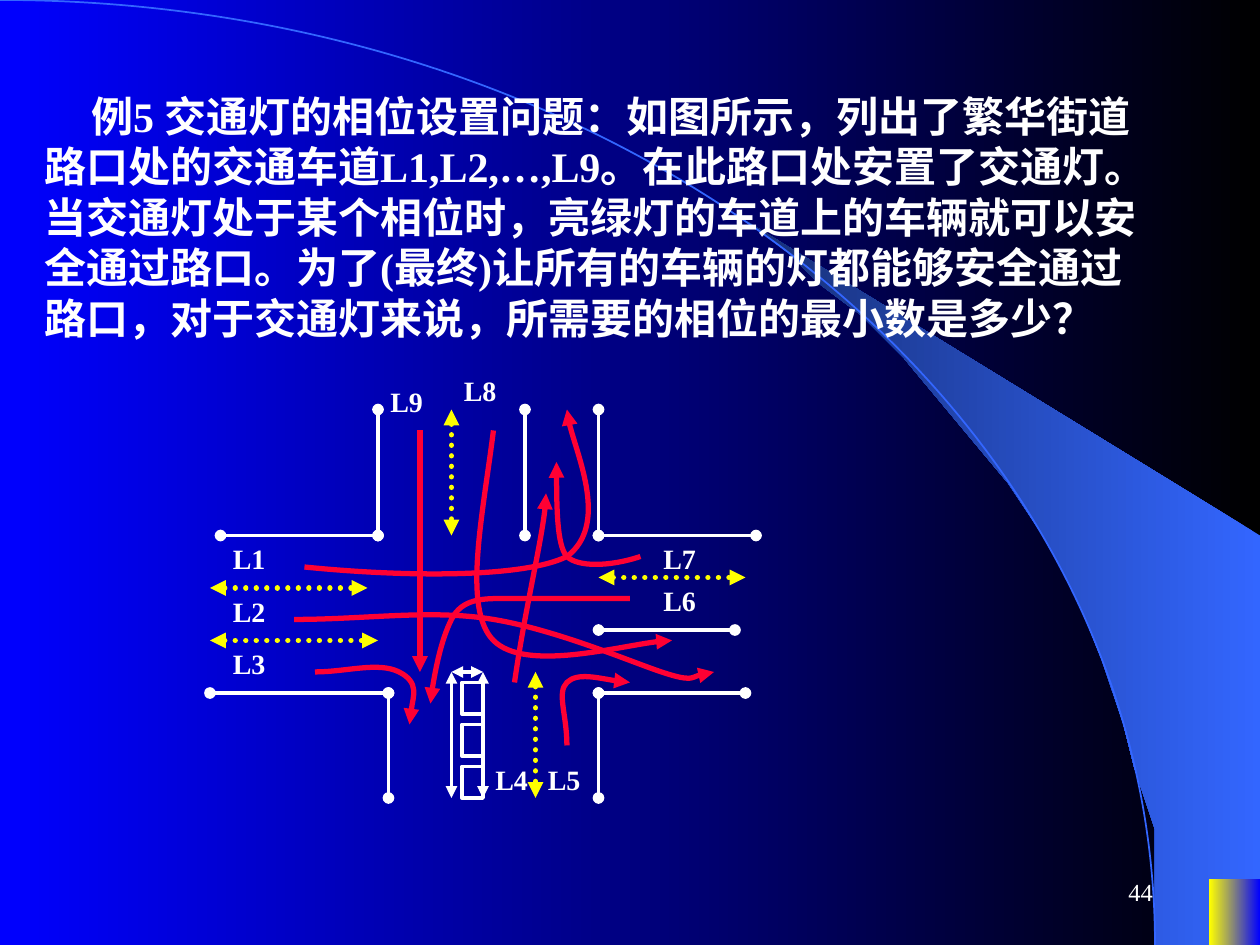
"""Build the slide on the traffic-light phase problem at a crossroads."""
from lxml import etree
from pptx import Presentation
from pptx import util as u
from pptx.dml import color
from pptx.enum import dml, shapes, text
from pptx.oxml import ns

COLORS = {"white": "FFFFFF", "yellow": "FFFF00", "red": "FF0033", "blue": "0000FF",
          "black": "000000", "sky": "3366FF", "navy": "172F75"}
RGB = {name: color.RGBColor.from_string(code) for name, code in COLORS.items()}
CELL = u.Cm(2.54) / 12

deck = Presentation()
deck.slide_width, deck.slide_height = u.Cm(25.4), u.Cm(19.05)
page = deck.slides.add_slide(deck.slide_layouts[6])


def outline(points, closed=False, curved=False):
    """Draw points given in grid cells, as straight or cubic segments."""
    builder = page.shapes.build_freeform(*points[0], scale=CELL)
    builder.add_line_segments(points[1:], close=closed)
    shape = builder.convert_to_shape()
    shape.shadow.inherit = False
    steps = list(shape._element.iter(ns.qn("a:lnTo"))) if curved else []
    for start in range(0, len(steps), 3):
        curve = etree.Element(ns.qn("a:cubicBezTo"))
        steps[start].addprevious(curve)
        for step in steps[start:start + 3]:
            curve.append(step[0])
            step.getparent().remove(step)
    return shape


def write(words, left, top, width, height, size, bold=True):
    """Add a white text box placed in centimetres and return its frame."""
    box = page.shapes.add_textbox(u.Cm(left), u.Cm(top), u.Cm(width), u.Cm(height))
    frame = box.text_frame
    frame.word_wrap = True
    frame.text = words
    font = frame.paragraphs[0].runs[0].font
    font.name, font.size, font.bold = "Times New Roman", u.Pt(size), bold
    font.color.rgb = RGB["white"]
    return frame


wedge = outline([(110.4, 89.8), (119.9, 89.9), (119.9, 50.8), (70.7, 20.8), (74.9, 23.9),
                 (78.4, 26.6), (82.2, 30), (85.9, 33.6), (91.4, 39.6), (96.4, 46.1),
                 (99.8, 51.7), (103, 57.5), (105.4, 63.4), (107.2, 68.6), (108.4, 73.1),
                 (109.6, 78.7), (110, 83.5)], closed=True)
wedge.line.fill.background()

arc = outline([(0, 0), (61, 0), (110.4, 40.2), (110.4, 89.9)], curved=True)
arc.fill.background()
arc.line.color.rgb, arc.line.width = RGB["sky"], u.Pt(1)

corner = page.shapes.add_shape(shapes.MSO_SHAPE.RECTANGLE,
                               u.Cm(24.38), u.Cm(17.73), u.Cm(1.02), u.Cm(1.32))
corner.shadow.inherit = False
corner.line.fill.background()

for fill, first, last in [(page.background.fill, "black", "blue"),
                          (wedge.fill, "sky", "navy"), (corner.fill, "blue", "yellow")]:
    fill.gradient()
    fill.gradient_angle = 180
    for stop, name in zip(fill.gradient_stops, (first, last)):
        stop.color.rgb = RGB[name]

question = write("例5 交通灯的相位设置问题：如图所示，列出了繁华街道路口处的交通车道L1,L2,…,L9。"
                 "在此路口处安置了交通灯。当交通灯处于某个相位时，亮绿灯的车道上的车辆就可以安全通过路口。"
                 "为了(最终)让所有的车辆的灯都能够安全通过路口，对于交通灯来说，所需要的相位的最小数是多少？",
                 0.64, 1.7, 22.66, 6.35, 24)
question.paragraphs[0]._p.get_or_add_pPr().set("indent", str(u.Cm(0.95)))

LINES = [
    ("white", 2.25, "oval", "oval", [
        (36, 39, 36, 51), (21, 51, 36, 51), (20, 66, 37, 66), (37, 66, 37, 76),
        (50, 39, 50, 51), (57, 39, 57, 51), (57, 51, 72, 51), (57, 60, 70, 60),
        (57, 66, 71, 66), (57, 66, 57, 76)]),
    ("yellow", 3, "triangle", "triangle", [
        (20, 56, 35, 56), (20, 61, 36, 61), (43, 39, 43, 51), (57, 55, 71, 55),
        (51, 64, 51, 76)]),
    ("white", 2.25, "triangle", "triangle", [
        (43, 64, 43, 76), (43, 64, 46, 64), (46, 64, 46, 76)]),
    ("red", 3, "none", "triangle", [(40, 41, 40, 64)]),
]
LANES = [
    [(28, 59), (34.6, 58.6), (41.2, 58.2), (47, 59), (52.8, 59.8), (59.5, 63.2), (63, 64),
     (66.5, 64.8), (67.2, 64), (68, 64)],
    [(30, 64), (33.3, 63.6), (36.5, 63.1), (38, 64), (39.5, 64.8), (38.9, 68.2), (39, 69)],
    [(60, 57), (58, 57), (56, 57), (54, 57), (52, 57), (49.8, 56.6), (48, 57),
     (46.2, 57.4), (44.2, 57.4), (43, 59), (41.9, 60.7), (41.3, 65.6), (41, 67)],
    [(54, 71), (53.5, 68.5), (53, 66), (54, 65), (55, 64), (59, 65), (60, 65)],
    [(47, 41), (45.6, 49.3), (44.2, 57.7), (47, 61), (49.8, 64.3), (61.2, 61), (64, 61)],
    [(61, 53), (58.2, 53.8), (55.3, 54.5), (54, 53), (52.7, 51.5), (53.2, 45.5), (53, 44)],
    [(49, 65), (50.3, 57.5), (51.5, 50), (52, 47)],
    [(29, 54), (39.4, 54.7), (49.8, 55.4), (54, 53), (58.2, 50.5), (54, 41.3), (54, 39)],
]

strokes = []
for name, width, head, tail, places in LINES:
    for place in places:
        line = page.shapes.add_connector(shapes.MSO_CONNECTOR.STRAIGHT,
                                         *(round(value * CELL) for value in place))
        etree.SubElement(line._element.spPr, ns.qn("a:effectLst"))
        strokes.append((line, name, width, head, tail))
for points in LANES:
    lane = outline(points, curved=True)
    lane.fill.background()
    strokes.append((lane, "red", 3, "none", "triangle"))

for stroke, name, width, head, tail in strokes:
    stroke.line.color.rgb, stroke.line.width = RGB[name], u.Pt(width)
    if name == "yellow":
        stroke.line.dash_style = dml.MSO_LINE.ROUND_DOT
    pen = stroke.line._get_or_add_ln()
    if name == "yellow":
        pen.set("cap", "rnd")
    for tag, kind in (("a:headEnd", head), ("a:tailEnd", tail)):
        etree.SubElement(pen, ns.qn(tag), type=kind)

for row in (65, 69, 73):
    car = page.shapes.add_shape(shapes.MSO_SHAPE.RECTANGLE,
                                *(round(value * CELL) for value in (44, row, 2, 3)))
    car.shadow.inherit = False
    car.fill.background()
    car.line.color.rgb, car.line.width = RGB["white"], u.Pt(2.25)

LABELS = {"L1": (21, 51), "L2": (21, 56), "L3": (21, 61), "L4": (46, 72), "L5": (51, 72),
          "L6": (62, 55), "L7": (62, 51), "L8": (43, 35), "L9": (36, 36)}
for label, (column, row) in LABELS.items():
    write(label, column * 2.54 / 12, row * 2.54 / 12, 1.52, 0.94, 16)

number = write("44", 18.21, 17.35, 5.28, 1.27, 14, bold=False)
number.vertical_anchor = text.MSO_ANCHOR.MIDDLE
number.paragraphs[0].alignment = text.PP_ALIGN.RIGHT

deck.save("out.pptx")
